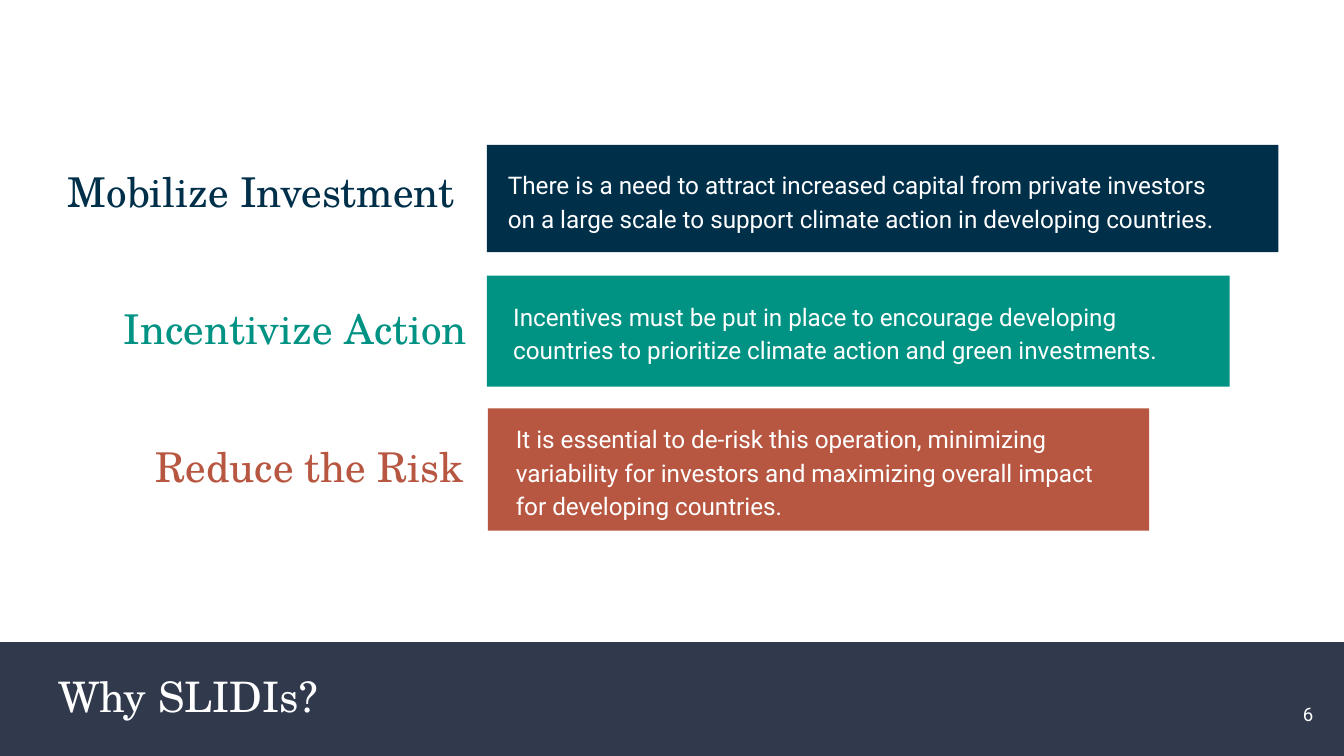
from pptx import Presentation
from pptx.dml.color import RGBColor
from pptx.enum.shapes import MSO_SHAPE
from pptx.enum.text import MSO_ANCHOR, PP_ALIGN
from pptx.util import Cm, Pt

RECT = MSO_SHAPE.RECTANGLE
LEFT, RIGHT = PP_ALIGN.LEFT, PP_ALIGN.RIGHT
TOP, MIDDLE = MSO_ANCHOR.TOP, MSO_ANCHOR.MIDDLE
SERIF, SANS = "TeX Gyre Schola", "Roboto"
WHITE, SLATE = "FFFFFF", "31394D"
NAVY, TEAL, RUST = "002F4A", "009384", "B85741"
TITLE_ONLY = 5

# Each reason: colour, label, label box, bar box, body, body box (cm)
REASONS = [
    (NAVY, "Mobilize Investment ", (0.86, 2.79, 7.98, 1.75),
     (9.2, 2.74, 14.96, 2.03),
     "There is a need to attract increased capital from private investors "
     "on a large scale to support climate action in developing countries.",
     (9.35, 2.97, 14.3, 1.6)),
    (TEAL, "Incentivize Action", (0.51, 5.36, 8.56, 1.8),
     (9.2, 5.21, 14.04, 2.1),
     "Incentives must be put in place to encourage developing countries "
     "to prioritize climate action and green investments.",
     (9.45, 5.56, 13.61, 1.4)),
    (RUST, "Reduce the Risk", (1.24, 8, 7.77, 1.75),
     (9.22, 7.72, 12.5, 2.31),
     "It is essential to de-risk this operation, minimizing variability for "
     "investors and maximizing overall impact for developing countries.",
     (9.5, 7.95, 11.86, 1.88)),
]


def rgb(color):
    return RGBColor.from_string(color)


def lengths(box):
    return [Cm(value) for value in box]


def add_bar(shapes, box, color):
    sp = shapes.add_shape(RECT, *lengths(box))
    sp.shadow.inherit = False
    sp.fill.solid()
    sp.fill.fore_color.rgb = rgb(color)
    sp.line.fill.background()
    return sp


def write(sp, text, font, size, color, align=LEFT, anchor=MIDDLE,
          spacing=1.0, inset=0.13):
    tf = sp.text_frame
    tf.text = text
    tf.word_wrap = True
    tf.vertical_anchor = anchor
    tf.margin_left = tf.margin_right = Cm(0.25)
    tf.margin_top = tf.margin_bottom = Cm(inset)
    p = tf.paragraphs[0]
    p.alignment = align
    p.line_spacing = spacing
    p.space_before = Pt(0)
    r = p.runs[0]
    r.font.name = font
    r.font.size = Pt(size)
    r.font.color.rgb = rgb(color)


def add_text(shapes, box, *args, **kwargs):
    write(shapes.add_textbox(*lengths(box)), *args, **kwargs)


def add_reason(s, color, label, label_box, bar_box, body, body_box):
    shapes = s.shapes.add_group_shape().shapes
    add_text(shapes, label_box, label, SERIF, 22, color, RIGHT, spacing=0.9)
    add_bar(shapes, bar_box, color)
    add_text(shapes, body_box, body, SANS, 13, WHITE, spacing=1.15)


def add_title(s, text, box):
    title = s.shapes.title
    title.left, title.top, title.width, title.height = lengths(box)
    write(title, text, SERIF, 22.5, WHITE, anchor=TOP, inset=0.25)


def main():
    prs = Presentation()
    prs.slide_width, prs.slide_height = Cm(25.4), Cm(14.29)
    s = prs.slides.add_slide(prs.slide_layouts[TITLE_ONLY])

    band = add_bar(s.shapes, (0, 12.14, 25.4, 2.15), SLATE)
    s.shapes.title.element.addprevious(band.element)
    add_title(s, "Why SLIDIs?", (0.86, 12.42, 8.33, 1.47))
    for reason in REASONS:
        add_reason(s, *reason)
    add_text(s.shapes, (23.55, 12.95, 1.52, 1.09), "6", SANS, 10, WHITE,
             RIGHT, inset=0.25)

    prs.save("out.pptx")


if __name__ == "__main__":
    main()
